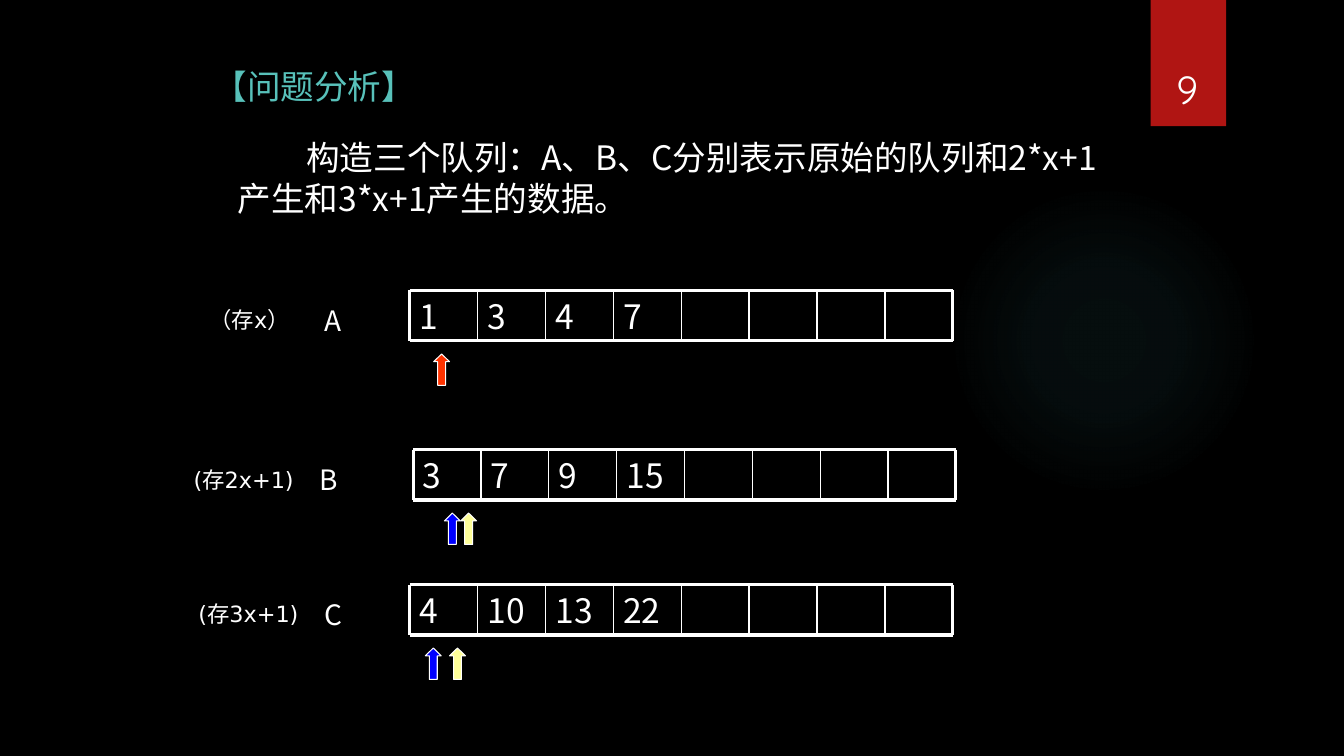
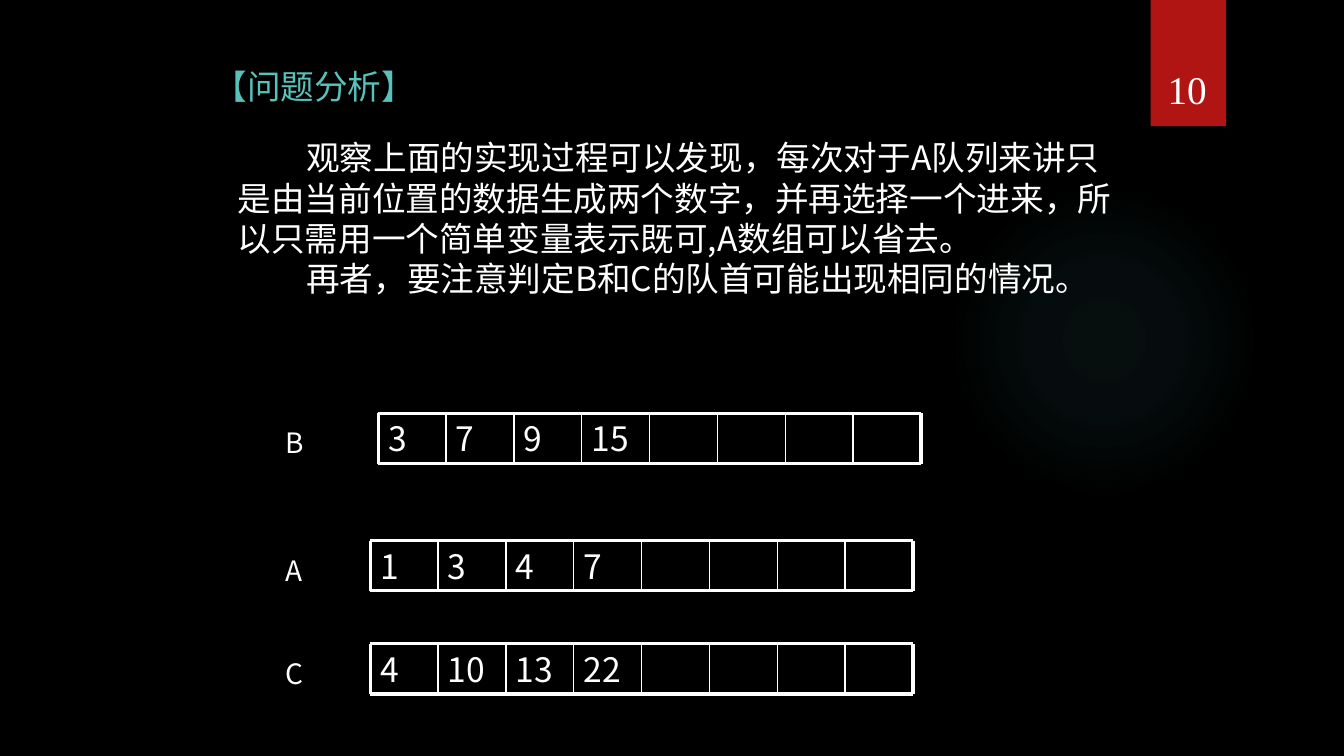
from dataclasses import dataclass

from lxml.etree import SubElement
from pptx import Presentation
from pptx.dml.color import RGBColor
from pptx.enum.shapes import MSO_CONNECTOR, MSO_SHAPE
from pptx.enum.text import MSO_ANCHOR, PP_ALIGN
from pptx.oxml import parse_xml
from pptx.oxml.ns import nsdecls, qn
from pptx.util import Cm, Pt


@dataclass(frozen=True)
class Theme:
    background: str = "000000"
    ink: str = "FFFFFF"
    heading: str = "58C1BA"
    band: str = "B01513"
    glow: str = "50B9C1"
    red: str = "FF3300"
    blue: str = "0000FF"
    yellow: str = "FFFF99"
    text_font: str = "Noto Sans CJK SC"
    plain_font: str = "DejaVu Sans"
    body_size: int = 24
    label_size: int = 20
    note_size: int = 16
    number_size: int = 28
    leading: float = 1.2
    frame_line: float = 2.25
    inner_line: float = 1
    arrow_line: float = 0.75


THEME = Theme()
CELL_COUNT = 8
CELL_WIDTH, CELL_HEIGHT = 1.71, 1.27
LABEL_DROP, NOTE_DROP, ARROW_DROP = 0.2, 0.28, 1.6


class Deck:
    def __init__(self, theme):
        self.theme = theme
        self.presentation = Presentation()
        self.presentation.slide_width = Cm(33.87)
        self.presentation.slide_height = Cm(19.05)
        self.layout = self.presentation.slide_layouts[6]
        self.slide = None

    def add_slide(self, number, number_font):
        is_first = self.slide is None
        self.slide = self.presentation.slides.add_slide(self.layout)
        if is_first:
            self.decorate_layout()
        self.text("【问题分析】", 5.13, 1.54, 21.8, 1.4,
                  self.theme.body_size, self.theme.plain_font, self.theme.heading)
        frame = self.text(number, 28.75, 0.83, 2.34, 2.13,
                          self.theme.number_size, number_font)
        frame.vertical_anchor = MSO_ANCHOR.BOTTOM
        frame.paragraphs[0].alignment = PP_ALIGN.CENTER

    def decorate_layout(self):
        """Draw the glow and the red band, then move them to the layout."""
        fill = self.layout.background.fill
        fill.solid()
        fill.fore_color.rgb = RGBColor.from_string(self.theme.background)
        glow = self.shape(MSO_SHAPE.OVAL, 23.91, 4.66, 7.82, 7.82, self.theme.glow)
        stops = "".join(
            f'<a:gs pos="{position * 1000}"><a:srgbClr val="{self.theme.glow}">'
            f'<a:alpha val="{opacity * 1000}"/></a:srgbClr></a:gs>'
            for position, opacity in ((0, 7), (36, 6), (69, 0), (100, 0)))
        gradient = parse_xml(
            f'<a:gradFill {nsdecls("a")}><a:gsLst>{stops}</a:gsLst><a:path path="circle">'
            '<a:fillToRect l="50000" t="50000" r="50000" b="50000"/></a:path></a:gradFill>')
        solid = glow.element.spPr.find(qn("a:solidFill"))
        solid.getparent().replace(solid, gradient)
        band = self.shape(MSO_SHAPE.RECTANGLE, 29, 0, 1.9, 3.18, self.theme.band)
        for decoration in (glow, band):
            self.layout.shapes.element.append(decoration.element)

    def shape(self, kind, left, top, width, height, fill):
        shape = self.slide.shapes.add_shape(kind, Cm(left), Cm(top), Cm(width), Cm(height))
        shape.shadow.inherit = False
        shape.fill.solid()
        shape.fill.fore_color.rgb = RGBColor.from_string(fill)
        shape.line.fill.background()
        return shape

    def text(self, content, left, top, width, height, size, font, color=None):
        box = self.slide.shapes.add_textbox(Cm(left), Cm(top), Cm(width), Cm(height))
        frame = box.text_frame
        frame.word_wrap = True
        frame.text = content
        for paragraph in frame.paragraphs:
            if font == self.theme.text_font:
                paragraph.line_spacing = Pt(size * self.theme.leading)
            for run in paragraph.runs:
                run.font.size = Pt(size)
                run.font.color.rgb = RGBColor.from_string(color or self.theme.ink)
                run.font.name = font
                SubElement(run.font._element, qn("a:ea")).set("typeface", font)
        return frame

    def body(self, content, width, height):
        frame = self.text(content, 5.74, 3.33, width, height,
                          self.theme.body_size, self.theme.text_font)
        for paragraph in frame.paragraphs:
            properties = paragraph._p.get_or_add_pPr()
            properties.set("marL", "0")
            properties.set("indent", str(Cm(1.73)))

    def line(self, group, start, end, weight):
        line = group.shapes.add_connector(
            MSO_CONNECTOR.STRAIGHT, *(Cm(length) for length in (*start, *end)))
        line.line.color.rgb = RGBColor.from_string(self.theme.ink)
        line.line.width = Pt(weight)
        SubElement(line.element.spPr, qn("a:effectLst"))

    def queue(self, name, values, left, top, label_left):
        """Draw a labelled row of cells: values first, then the grouped grid."""
        self.text(name, label_left, top + LABEL_DROP, 1.8, 1.09,
                  self.theme.label_size, self.theme.text_font)
        edges = [left + column * CELL_WIDTH for column in range(CELL_COUNT + 1)]
        for value, cell_left in zip(values, edges):
            self.text(str(value), cell_left, top, CELL_WIDTH, CELL_HEIGHT,
                      self.theme.body_size, self.theme.text_font)
        bottom = top + CELL_HEIGHT
        grid = self.slide.shapes.add_group_shape()
        for y in (top, bottom):
            self.line(grid, (left, y), (edges[-1], y), self.theme.frame_line)
        for x in edges:
            is_frame = x in (edges[0], edges[-1])
            weight = self.theme.frame_line if is_frame else self.theme.inner_line
            self.line(grid, (x, top), (x, bottom), weight)

    def note(self, content, left, queue_top, width):
        self.text(content, left, queue_top + NOTE_DROP, width, 0.94,
                  self.theme.note_size, self.theme.plain_font)

    def pointer(self, left, queue_top, color):
        arrow = self.shape(MSO_SHAPE.UP_ARROW, left, queue_top + ARROW_DROP, 0.4, 0.79, color)
        arrow.adjustments[0] = 0.5
        arrow.adjustments[1] = 0.49
        arrow.line.color.rgb = RGBColor.from_string(self.theme.ink)
        arrow.line.width = Pt(self.theme.arrow_line)


QUEUES = {"A": (1, 3, 4, 7), "B": (3, 7, 9, 15), "C": (4, 10, 13, 22)}


def build_queue_slide(deck):
    deck.add_slide("9", "Quicksand")
    deck.body("构造三个队列：A、B、C分别表示原始的队列和2*x+1产生和3*x+1产生的数据。", 22.6, 2.79)
    # name, left, top, label left, note, note left, note width, pointers
    rows = (
        ("A", 10.33, 7.32, 7.92, "（存x）", 5.03, 2.59, ((10.93, THEME.red),)),
        ("B", 10.41, 11.33, 7.8, "(存2x+1)", 4.63, 3.51,
         ((11.2, THEME.blue), (11.61, THEME.yellow))),
        ("C", 10.33, 14.73, 7.92, "(存3x+1)", 4.75, 3.51,
         ((10.72, THEME.blue), (11.33, THEME.yellow))),
    )
    for name, left, top, label_left, note, note_left, note_width, pointers in rows:
        deck.queue(name, QUEUES[name], left, top, label_left)
        deck.note(note, note_left, top, note_width)
        for pointer_left, color in pointers:
            deck.pointer(pointer_left, top, color)


def build_conclusion_slide(deck):
    deck.add_slide("10", "Times New Roman")
    deck.body(
        "观察上面的实现过程可以发现，每次对于A队列来讲只是由当前位置的数据生成两个数字，"
        "并再选择一个进来，所以只需用一个简单变量表示既可,A数组可以省去。\n"
        "再者，要注意判定B和C的队首可能出现相同的情况。", 23.01, 5)
    for name, left, top in (("B", 9.53, 10.41), ("A", 9.33, 13.62), ("C", 9.33, 16.22)):
        deck.queue(name, QUEUES[name], left, top, 6.95)


def main():
    deck = Deck(THEME)
    build_queue_slide(deck)
    build_conclusion_slide(deck)
    deck.presentation.save("out.pptx")


if __name__ == "__main__":
    main()
